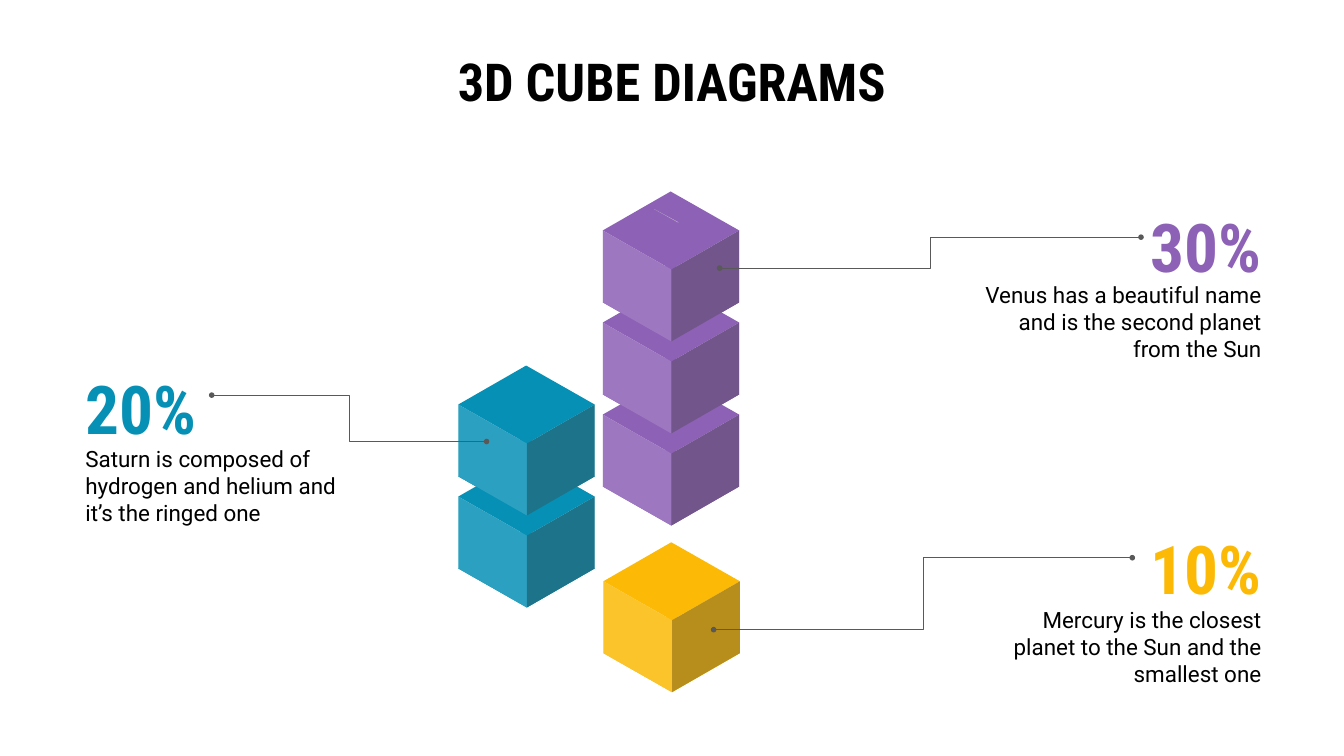
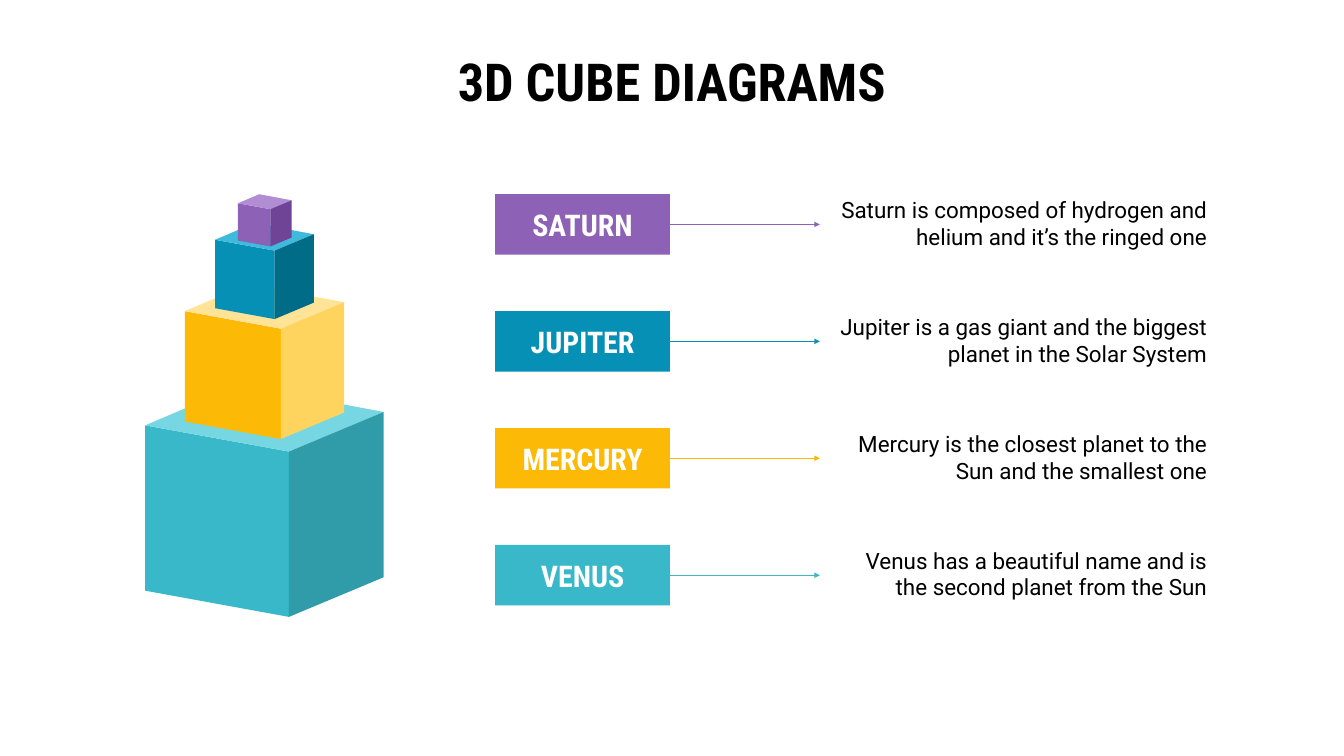
"""Build two slides of cube diagrams: percentage towers and a planet pyramid."""
from dataclasses import dataclass

from pptx import Presentation
from pptx.dml.color import RGBColor
from pptx.enum.shapes import MSO_CONNECTOR, MSO_SHAPE
from pptx.enum.text import MSO_ANCHOR, MSO_AUTO_SIZE, PP_ALIGN
from pptx.oxml.ns import qn
from pptx.util import Inches, Pt
from lxml.etree import SubElement


@dataclass(frozen=True)
class Theme:
    heading_font: str = "Roboto Condensed"
    body_font: str = "Roboto"
    black: str = "000000"
    white: str = "FFFFFF"
    shade: str = "434343"
    glint: str = "CACACA"
    leader: str = "595959"
    purple: str = "8D61B6"
    blue: str = "0690B5"
    yellow: str = "FCBA06"
    teal: str = "38B8C8"
    title_size: int = 56
    number_size: int = 72
    label_size: int = 32
    body_size: int = 24
    line_width: float = 0.75


theme = Theme()


def write_text(shape, text, size=theme.body_size, color=theme.black, heading=False,
               align=PP_ALIGN.LEFT, anchor=MSO_ANCHOR.TOP, spacing=None, after=None):
    frame = shape.text_frame
    frame.word_wrap = True
    frame.auto_size = MSO_AUTO_SIZE.NONE
    frame.vertical_anchor = anchor
    frame.margin_left = frame.margin_right = Inches(0.2)
    frame.margin_top = frame.margin_bottom = Inches(0.2)
    para = frame.paragraphs[0]
    para.alignment = align
    if spacing:
        para.line_spacing = spacing
    if after:
        para.space_after = Pt(after)
    span = para.add_run()
    span.text = text
    span.font.name = theme.heading_font if heading else theme.body_font
    span.font.size = Pt(size)
    span.font.bold = heading
    span.font.color.rgb = RGBColor.from_string(color)


def add_face(shapes, corners, color, left=0, top=0, scale=1, opacity=100):
    points = [(Inches(left + x * scale), Inches(top + y * scale)) for x, y in corners]
    builder = shapes.build_freeform(*points[0], scale=1.0)
    builder.add_line_segments(points[1:], close=True)
    face = builder.convert_to_shape()
    face.shadow.inherit = False
    face.line.fill.background()
    face.fill.solid()
    face.fill.fore_color.rgb = RGBColor.from_string(color)
    if opacity < 100:
        tint = face._element.spPr.find(qn("a:solidFill"))[0]
        SubElement(tint, qn("a:alpha"), val=str(opacity * 1000))


deck = Presentation()
deck.slide_width = Inches(20)
deck.slide_height = Inches(11.25)
layout = deck.slide_layouts[5]
layout_title = layout.placeholders[0]
layout_title.left, layout_title.top = Inches(1), Inches(0.53)
layout_title.width, layout_title.height = Inches(18), Inches(1.25)

pages = [deck.slides.add_slide(layout) for _ in range(2)]
for page in pages:
    write_text(page.shapes.title, "3D CUBE DIAGRAMS", size=theme.title_size,
               heading=True, align=PP_ALIGN.CENTER)
tower_page, pyramid_page = pages
lines = []

lid = [(1.01, 0), (0, 0.58), (1.02, 1.16), (2.03, 0.58)]
floor = [(x, y + 1.07) for x, y in lid]
left_side = [lid[1], floor[1], floor[2], lid[2]]
right_side = [lid[3], lid[2], floor[2], floor[3]]
cube_pitch = 1.37

towers = [
    (8.97, 5.59, 3, theme.purple),
    (6.82, 6.81, 2, theme.blue),
    (8.98, 8.07, 1, theme.yellow),
]
for left, base_top, count, color in towers:
    for level in range(count):
        top = base_top - level * cube_pitch
        for corners in (left_side, right_side, floor, lid):
            add_face(tower_page.shapes, corners, color, left, top)
        add_face(tower_page.shapes, left_side, theme.white, left, top, opacity=15)
        add_face(tower_page.shapes, right_side, theme.shade, left, top, opacity=37)
add_face(tower_page.shapes, [(9.73, 3.11), (10.09, 3.31), (10.1, 3.31)], theme.glint)

callouts = [
    ("30%", "Venus has a beautiful name and is the second planet from the Sun",
     theme.purple, PP_ALIGN.RIGHT, 16.11, 2.68, 14.36, 3.99, (16.98, 3.53, 10.71, 3.99)),
    ("20%", "Saturn is composed of hydrogen and helium and it’s the ringed one",
     theme.blue, PP_ALIGN.LEFT, 1.07, 5.08, 1.07, 6.43, (3.15, 5.88, 7.24, 6.57)),
    ("10%", "Mercury is the closest planet to the Sun and the smallest one",
     theme.yellow, PP_ALIGN.RIGHT, 16.11, 7.47, 14.36, 8.82, (16.85, 8.3, 10.62, 9.37)),
]
for number, text, color, align, number_left, number_top, text_left, text_top, ends in callouts:
    number_box = tower_page.shapes.add_textbox(
        Inches(number_left), Inches(number_top), Inches(2.86), Inches(0.84))
    write_text(number_box, number, size=theme.number_size, color=color, heading=True,
               align=align, spacing=1.15, after=32)
    text_box = tower_page.shapes.add_textbox(
        Inches(text_left), Inches(text_top), Inches(4.61), Inches(1.25))
    write_text(text_box, text, align=align)
    leader = tower_page.shapes.add_connector(
        MSO_CONNECTOR.ELBOW, *[Inches(value) for value in ends])
    lines.append((leader, theme.leader, {"headEnd": "oval", "tailEnd": "oval"}))

block_lid = [(1.41, 0), (0, 0.6), (2.14, 0.99), (3.55, 0.4)]
block_floor = [(x, y + 2.46) for x, y in block_lid]
block_front = [block_lid[1], block_floor[1], block_floor[2], block_lid[2]]
block_side = [block_lid[3], block_lid[2], block_floor[2], block_floor[3]]

blocks = [
    (2.16, 5.73, 3.55, theme.teal, "76D7E3", "319CA9"),
    (2.75, 4.23, 2.37, theme.yellow, "FFE396", "FFD45E"),
    (3.2, 3.32, 1.47, theme.blue, "3FBADB", "016C88"),
    (3.54, 2.89, 0.8, theme.purple, "B18DD3", "6F4497"),
]
for left, top, width, front_color, lid_color, side_color in blocks:
    block = pyramid_page.shapes.add_group_shape()
    scale = width / 3.55
    add_face(block.shapes, block_front, front_color, left, top, scale)
    add_face(block.shapes, block_lid, lid_color, left, top, scale)
    add_face(block.shapes, block_side, side_color, left, top, scale)

planets = [
    ("SATURN", "Saturn is composed of hydrogen and helium and it’s the ringed one", theme.purple),
    ("JUPITER", "Jupiter is a gas giant and the biggest planet in the Solar System", theme.blue),
    ("MERCURY", "Mercury is the closest planet to the Sun and the smallest one", theme.yellow),
    ("VENUS", "Venus has a beautiful name and is the second planet from the Sun", theme.teal),
]
label_height, text_height = Inches(0.9), Inches(1.25)
for row, (name, text, color) in enumerate(planets):
    middle = Inches(3.34 + row * 1.74)
    label = pyramid_page.shapes.add_shape(
        MSO_SHAPE.RECTANGLE, Inches(7.37), middle - label_height // 2,
        Inches(2.6), label_height)
    label.shadow.inherit = False
    label.line.fill.background()
    label.fill.solid()
    label.fill.fore_color.rgb = RGBColor.from_string(color)
    write_text(label, name, size=theme.label_size, color=theme.white, heading=True,
               align=PP_ALIGN.CENTER, anchor=MSO_ANCHOR.MIDDLE)
    text_box = pyramid_page.shapes.add_textbox(
        Inches(12.2), middle - text_height // 2, Inches(5.96), text_height)
    write_text(text_box, text, align=PP_ALIGN.RIGHT)
    arrow = pyramid_page.shapes.add_connector(
        MSO_CONNECTOR.STRAIGHT, Inches(9.97), middle, Inches(12.2), middle)
    arrow.begin_connect(label, 3)
    arrow.end_connect(text_box, 1)
    lines.append((arrow, color, {"tailEnd": "triangle"}))

for connector, color, line_ends in lines:
    connector.line.color.rgb = RGBColor.from_string(color)
    connector.line.width = Pt(theme.line_width)
    properties = connector._element.spPr
    for tag, kind in line_ends.items():
        SubElement(properties.find(qn("a:ln")), qn(f"a:{tag}"), type=kind)
    SubElement(properties, qn("a:effectLst"))

deck.save("out.pptx")
